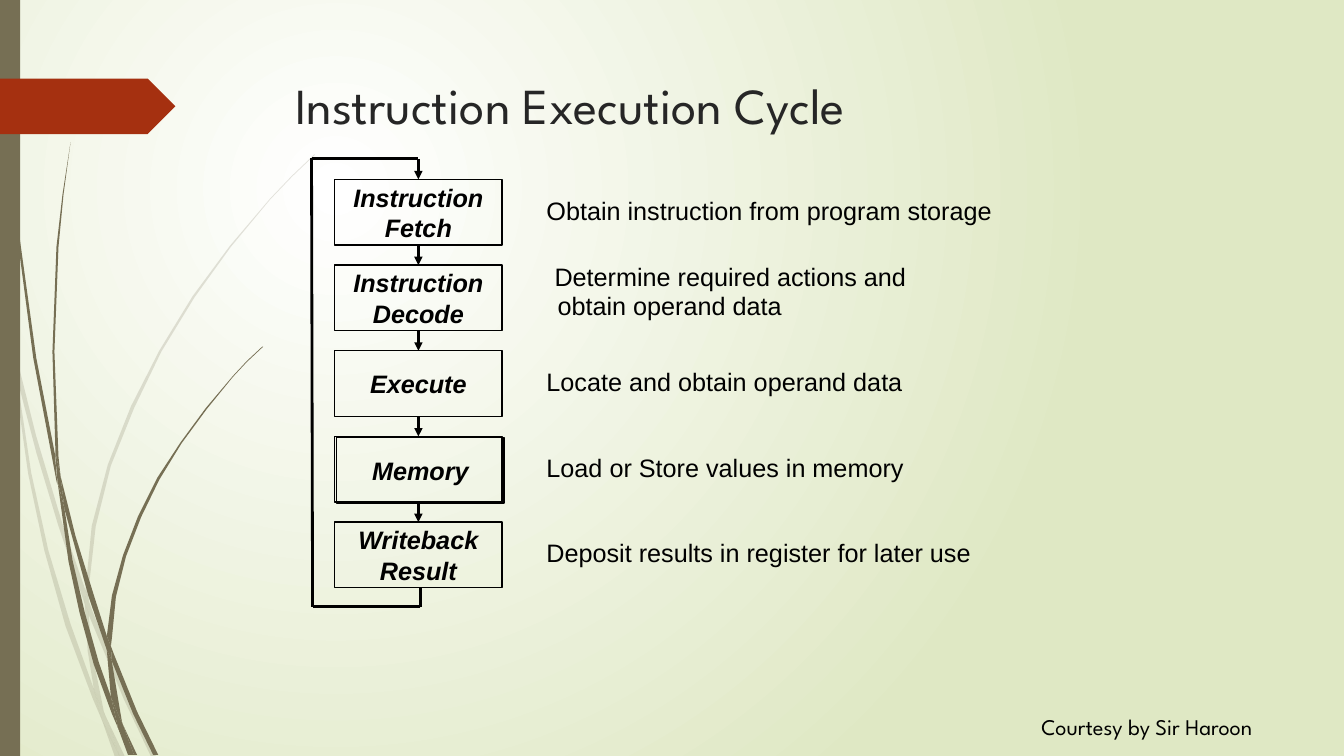
from itertools import pairwise

from lxml.etree import SubElement
from pptx import Presentation
from pptx.dml.color import RGBColor
from pptx.enum.shapes import MSO_CONNECTOR, MSO_SHAPE
from pptx.enum.text import MSO_ANCHOR, PP_ALIGN
from pptx.oxml.ns import qn
from pptx.util import Inches, Pt

BLACK, OLIVE, RUST, TITLE_GREY = "000000", "766F54", "A53010", "262626"
BODY_FONT, DISPLAY_FONT = "Arial", "League Spartan"
STAGE_LEFT, STAGE_TOP, STAGE_WIDTH, STAGE_HEIGHT = 3.32, 1.78, 1.66, 0.65
STAGE_STEP, ARROW_LENGTH = 0.85, 0.2
STAGE_CENTRE = STAGE_LEFT + STAGE_WIDTH / 2

STAGES = [
    (["Instruction", "Fetch"], "Obtain instruction from program storage"),
    (["Instruction", "Decode"], "Determine required actions and obtain operand data"),
    (["Execute"], "Locate and obtain operand data"),
    (["Memory"], "Load or Store values in memory"),
    (["Writeback", "Result"], "Deposit results in register for later use"),
]

# Each piece of grass is the list of its corners.
FAINT_GRASS = [
    [(0.11, 3.5), (0.09, 3.22), (0, 2.82), (0, 2.99), (0.1, 3.44)],
    [(0.58, 5.22), (0.84, 5.99), (0.85, 5.86), (0.62, 5.2), (0.36, 4.33), (0.14, 3.45),
     (0.17, 3.76), (0.36, 4.49)],
    [(0.92, 6.07), (0.88, 5.96), (0.88, 6.1), (1.23, 6.94), (1.5, 7.51), (1.55, 7.51),
     (1.27, 6.92)],
    [(1.19, 7.51), (1.24, 7.51), (1.05, 7.11)],
    [(0.93, 6.83), (0.7, 6.19), (0.48, 5.46), (0.31, 4.69), (0.17, 3.76), (0.11, 3.5),
     (0.28, 4.7), (0.44, 5.46), (0.65, 6.21), (0.92, 6.93), (1.01, 7.14), (0.99, 7.07)],
    [(0.84, 5.99), (0.87, 6.46), (0.93, 6.83), (0.96, 6.92), (1.05, 7.11), (1.03, 7.06),
     (0.91, 6.46), (0.88, 6.1), (0.88, 6.08)],
    [(0.88, 5.84), (0.95, 5.22), (1.1, 4.62), (1.33, 4.05), (1.6, 3.49), (1.93, 2.95),
     (2.29, 2.45), (2.68, 1.98), (2.9, 1.75), (3.12, 1.54), (3.12, 1.53), (2.89, 1.75),
     (2.68, 1.97), (2.28, 2.44), (1.91, 2.94), (1.58, 3.48), (1.3, 4.03), (1.07, 4.61),
     (0.91, 5.22), (0.85, 5.84), (0.85, 5.86), (0.88, 5.96)],
    [(1.01, 7.14), (1.14, 7.51), (1.19, 7.51)],
    [(0.88, 6.08), (0.88, 6.1), (0.88, 5.96), (0.85, 5.86), (0.84, 5.99)],
    [(0.96, 6.92), (0.93, 6.83), (0.99, 7.07), (1.01, 7.14), (1.19, 7.51), (1.05, 7.11)],
]
DARK_GRASS = [
    [(0.07, 1.1), (0.17, 2.33), (0.33, 3.55), (0.56, 4.77), (0.57, 4.81), (0.55, 4.57),
     (0.55, 4.53), (0.36, 3.55), (0.19, 2.32), (0.08, 1.09), (0.05, 0.48), (0.04, 0),
     (0.03, 0), (0.04, 0.48)],
    [(0.88, 5.92), (1.06, 6.45), (1.06, 6.33), (1.06, 6.31), (0.93, 5.9), (0.75, 5.32),
     (0.6, 4.72), (0.64, 5.05)],
    [(1.13, 6.49), (1.1, 6.41), (1.11, 6.56), (1.32, 7.08), (1.52, 7.49), (1.57, 7.49),
     (1.36, 7.06)],
    [(1.1, 6.91), (0.98, 6.57), (0.84, 6.07), (0.72, 5.56), (0.64, 5.05), (0.57, 4.77),
     (0.68, 5.57), (0.79, 6.08), (0.93, 6.59), (1.11, 7.08), (1.17, 7.22), (1.16, 7.17)],
    [(0.6, 4.72), (0.58, 4.53), (0.54, 3.49), (0.58, 2.45), (0.63, 1.93), (0.7, 1.41),
     (0.62, 1.93), (0.56, 2.45), (0.52, 3.49), (0.55, 4.49)],
    [(1.33, 7.49), (1.36, 7.49), (1.22, 7.19)],
    [(0.57, 4.77), (0.64, 5.05), (0.6, 4.72), (0.55, 4.49), (0.55, 4.53)],
    [(1.11, 6.33), (1.15, 5.92), (1.25, 5.52), (1.4, 5.13), (1.58, 4.76), (1.8, 4.4),
     (2.05, 4.06), (2.31, 3.74), (2.45, 3.59), (2.61, 3.44), (2.6, 3.44), (2.45, 3.58),
     (2.31, 3.73), (2.04, 4.05), (1.79, 4.39), (1.56, 4.74), (1.37, 5.12), (1.22, 5.51),
     (1.11, 5.91), (1.06, 6.31), (1.1, 6.41)],
    [(1.17, 7.22), (1.27, 7.49), (1.31, 7.49)],
    [(1.06, 6.45), (1.1, 6.91), (1.16, 7.06), (1.22, 7.19), (1.21, 7.16), (1.11, 6.56),
     (1.09, 6.51)],
    [(1.06, 6.45), (1.09, 6.51), (1.11, 6.56), (1.1, 6.41), (1.06, 6.31)],
    [(1.16, 7.06), (1.1, 6.91), (1.16, 7.17), (1.17, 7.22), (1.3, 7.49), (1.33, 7.49),
     (1.22, 7.19)],
]


def colour(value):
    return RGBColor.from_string(value)


def paint_background(page):
    fill = page.background.fill
    fill.gradient()
    for stop, position, value in zip(fill.gradient_stops, (0, 1), ("FFFFFF", "DFE8C4")):
        stop.position = position
        stop.color.rgb = colour(value)
    gradient = page.background._cSld.find(".//" + qn("a:gradFill"))
    for linear in gradient.findall(qn("a:lin")):
        gradient.remove(linear)
    circle = SubElement(gradient, qn("a:path"), path="circle")
    SubElement(circle, qn("a:fillToRect"), l="50000", t="50000", r="100000", b="100000")


def paint_solid(shape, value, opacity=100):
    shape.shadow.inherit = False
    shape.fill.solid()
    shape.fill.fore_color.rgb = colour(value)
    shape.line.fill.background()
    if opacity < 100:
        tint = shape._element.spPr.find(".//" + qn("a:srgbClr"))
        SubElement(tint, qn("a:alpha"), val=str(opacity * 1000))


def add_grass(page, pieces, opacity=100):
    for corners in pieces:
        start, *others = [(Inches(x), Inches(y)) for x, y in corners]
        builder = page.shapes.build_freeform(*start)
        builder.add_line_segments(others)
        paint_solid(builder.convert_to_shape(), OLIVE, opacity)


def add_block(page, kind, left, top, width, height, value):
    block = page.shapes.add_shape(kind, *map(Inches, (left, top, width, height)))
    paint_solid(block, value)


def write(frame, lines, size=18, font=BODY_FONT, value=BLACK, strong=False,
          align=PP_ALIGN.LEFT, anchor=MSO_ANCHOR.TOP, spacing=1.0, hang=0,
          margins=(0.07, 0.03)):
    frame.word_wrap = True
    frame.vertical_anchor = anchor
    frame.margin_left = frame.margin_right = Inches(margins[0])
    frame.margin_top = frame.margin_bottom = Inches(margins[1])
    for index, line in enumerate(lines):
        para = frame.add_paragraph() if index else frame.paragraphs[0]
        para.alignment = align
        para.line_spacing = spacing
        if hang:
            properties = para._p.get_or_add_pPr()
            properties.set("marL", str(Inches(hang)))
            properties.set("indent", str(-Inches(hang)))
        span = para.add_run()
        span.text = line
        span.font.size = Pt(size)
        span.font.name = font
        span.font.bold = span.font.italic = strong
        span.font.color.rgb = colour(value)


def add_text(page, text, left, top, width, height, **style):
    box = page.shapes.add_textbox(*map(Inches, (left, top, width, height)))
    write(box.text_frame, [text], **style)


def add_stage(page, left, top, lines=()):
    box = page.shapes.add_shape(
        MSO_SHAPE.RECTANGLE, *map(Inches, (left, top, STAGE_WIDTH, STAGE_HEIGHT)))
    box.shadow.inherit = False
    box.fill.background()
    box.line.color.rgb = colour(BLACK)
    box.line.width = Pt(1)
    write(box.text_frame, lines, strong=True, align=PP_ALIGN.CENTER,
          anchor=MSO_ANCHOR.MIDDLE)


def add_line(page, start, end, arrow=False):
    line = page.shapes.add_connector(
        MSO_CONNECTOR.STRAIGHT, *map(Inches, (*start, *end)))
    line.line.color.rgb = colour(BLACK)
    line.line.width = Pt(2)
    if arrow:
        SubElement(line.line._get_or_add_ln(), qn("a:tailEnd"), type="triangle")
    SubElement(line._element.spPr, qn("a:effectLst"))


def add_cycle(page):
    for index, (lines, meaning) in enumerate(STAGES):
        top = STAGE_TOP + index * STAGE_STEP
        add_line(page, (STAGE_CENTRE, top - ARROW_LENGTH), (STAGE_CENTRE, top), arrow=True)
        if lines == ["Memory"]:
            add_stage(page, STAGE_LEFT, top)
            add_stage(page, STAGE_LEFT + 0.02, top + 0.01, lines)
        else:
            add_stage(page, STAGE_LEFT, top, lines)
        if lines[-1] == "Decode":
            add_text(page, meaning, 5.43, top - 0.05, 4.3, 0.65, spacing=0.97, hang=0.03)
        else:
            add_text(page, meaning, 5.35, top + 0.14, 5.4, 0.35, spacing=0.97)
    loop = [(4.17, 5.83), (4.17, 6.02), (3.1, 6.02), (3.09, 1.57), (STAGE_CENTRE, 1.57)]
    for start, end in pairwise(loop):
        add_line(page, start, end)


def main():
    deck = Presentation()
    deck.slide_width, deck.slide_height = Inches(13.33), Inches(7.5)
    page = deck.slides.add_slide(deck.slide_layouts[6])
    paint_background(page)
    add_grass(page, FAINT_GRASS, opacity=20)
    add_grass(page, DARK_GRASS)
    add_block(page, MSO_SHAPE.RECTANGLE, 0, 0, 0.2, 7.5, OLIVE)
    add_block(page, MSO_SHAPE.PENTAGON, 0, 0.78, 1.74, 0.55, RUST)
    add_text(page, "Instruction Execution Cycle", 2.83, 0.69, 9.75, 1.4, size=36,
             font=DISPLAY_FONT, value=TITLE_GREY, margins=(0.1, 0.05))
    add_cycle(page)
    add_text(page, "Courtesy by Sir Haroon", 10.23, 7.03, 3, 0.4, size=16,
             font=DISPLAY_FONT, margins=(0.1, 0.05))
    deck.save("out.pptx")


if __name__ == "__main__":
    main()
